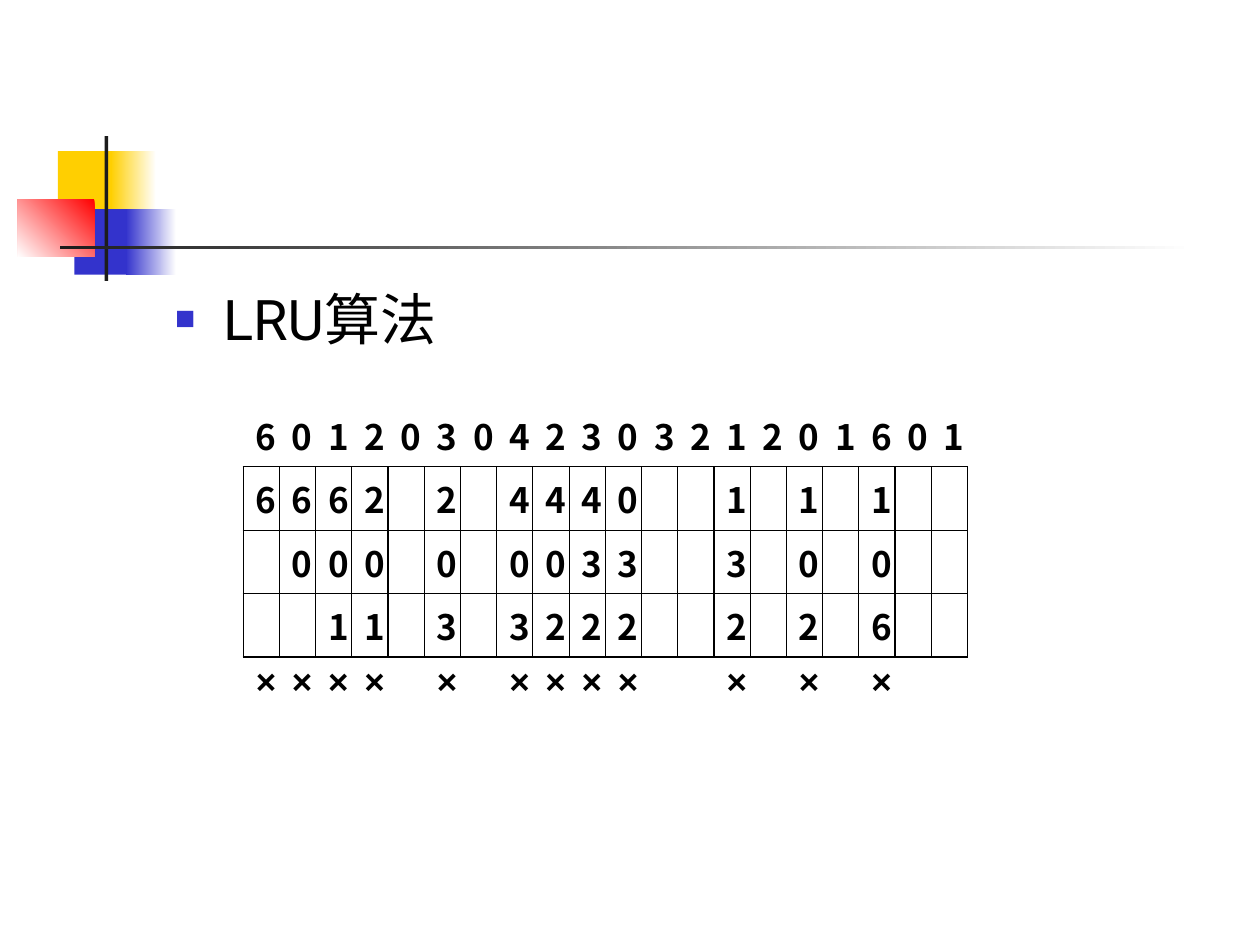
import pptx
import pptx.dml.color
import pptx.enum.shapes
import pptx.util
from lxml import etree
from pptx.oxml.ns import qn

RGBColor = pptx.dml.color.RGBColor
Inches = pptx.util.Inches
Pt = pptx.util.Pt

BLACK = RGBColor(0x00, 0x00, 0x00)
WHITE = RGBColor(0xFF, 0xFF, 0xFF)
YELLOW = RGBColor(0xFF, 0xCF, 0x01)
BLUE = RGBColor(0x33, 0x33, 0xCC)
RED = RGBColor(0xFF, 0x00, 0x00)
CHARCOAL = RGBColor(0x1C, 0x1C, 0x1C)

# Left, top, width, height in inches; colours; gradient angle
ORNAMENTS = [
    ((0.46, 1.2, 0.48, 0.52), [YELLOW], None),
    ((0.88, 1.2, 0.36, 0.52), [WHITE, YELLOW], 180),
    ((0.59, 1.66, 0.46, 0.52), [BLUE], None),
    ((1, 1.66, 0.4, 0.52), [WHITE, BLUE], 180),
    ((0.14, 1.58, 0.61, 0.46), [RED, WHITE], 225),
    ((0.83, 1.08, 0.03, 1.15), [CHARCOAL], None),
    ((0.48, 1.95, 9, 0.03), [WHITE, CHARCOAL], 180),
]

# Page references, three page frames, page faults; one character per column
PAGE_ROWS = [
    "60120304230321201601",
    "6662 2 4440  1 1 1  ",
    " 000 0 0033  3 0 0  ",
    "  11 3 3222  2 2 6  ",
    "×××× × ××××  × × ×  ",
]
FRAME_ROWS = range(1, 4)
COLUMN_WIDTH = 0.2875
ROW_HEIGHT = 0.47
NO_STYLE = "{2D5ABB26-0587-4C30-8999-92F81FD0307C}"


def add_ornament(slide, box, colours, angle):
    shape = slide.shapes.add_shape(
        pptx.enum.shapes.MSO_SHAPE.RECTANGLE, *map(Inches, box))
    shape.shadow.inherit = False
    shape.line.fill.background()
    if angle is None:
        shape.fill.solid()
        shape.fill.fore_color.rgb = colours[0]
        return
    shape.fill.gradient()
    shape.fill.gradient_angle = angle
    for stop, colour in zip(shape.fill.gradient_stops, colours):
        stop.color.rgb = colour


def format_heading(placeholder):
    placeholder.left, placeholder.top = Inches(1.29), Inches(2.21)
    placeholder.width, placeholder.height = Inches(8.5), Inches(4.5)
    placeholder.text_frame.text = "LRU算法"
    paragraph = placeholder.text_frame.paragraphs[0]
    paragraph.space_before = Pt(0)

    # Square bullet with a hanging indent
    properties = paragraph._p.get_or_add_pPr()
    properties.set("marL", str(Inches(0.38)))
    properties.set("indent", str(-Inches(0.38)))
    colour = etree.SubElement(properties, qn("a:buClr"))
    etree.SubElement(colour, qn("a:srgbClr"), val=str(BLUE))
    etree.SubElement(properties, qn("a:buSzPct"), val="60000")
    etree.SubElement(properties, qn("a:buFont"), typeface="Arial")
    etree.SubElement(properties, qn("a:buChar"), char="■")

    paragraph.font.name = "Roboto"
    paragraph.font.size = Pt(32)
    paragraph.font.color.rgb = BLACK


def set_borders(cell, visible_sides):
    properties = cell._tc.get_or_add_tcPr()
    for position, side in enumerate("LRTB"):
        line = etree.Element(qn(f"a:ln{side}"), w=str(Pt(0.75)))
        if side in visible_sides:
            fill = etree.SubElement(line, qn("a:solidFill"))
            etree.SubElement(fill, qn("a:srgbClr"), val=str(BLACK))
        else:
            etree.SubElement(line, qn("a:noFill"))
        properties.insert(position, line)


def format_cell(cell, text, font_name, visible_sides):
    cell.text = text
    cell.margin_left = cell.margin_right = Inches(0.1)
    cell.margin_top = cell.margin_bottom = Inches(0.05)
    cell.fill.background()
    set_borders(cell, visible_sides)
    font = cell.text_frame.paragraphs[0].font
    font.name = font_name
    font.size = Pt(20)
    font.bold = True
    font.color.rgb = BLACK


def add_page_table(slide):
    row_count, column_count = len(PAGE_ROWS), len(PAGE_ROWS[0])
    frame = slide.shapes.add_table(
        row_count, column_count, Inches(1.93), Inches(3.2),
        Inches(COLUMN_WIDTH * column_count), Inches(ROW_HEIGHT * row_count))
    table = frame.table
    table.first_row = table.horz_banding = False
    table._tbl.tblPr.find(qn("a:tableStyleId")).text = NO_STYLE
    for column in table.columns:
        column.width = Inches(COLUMN_WIDTH)
    for row_index, values in enumerate(PAGE_ROWS):
        table.rows[row_index].height = Inches(ROW_HEIGHT)
        # Only the page frames have a full grid
        if row_index in FRAME_ROWS:
            sides = "LRTB"
        else:
            sides = "B" if row_index == 0 else "T"
        is_fault_row = row_index == row_count - 1
        font_name = "Arial" if is_fault_row else "Noto Sans CJK SC"
        for column_index, value in enumerate(values):
            format_cell(table.cell(row_index, column_index),
                        value.strip(), font_name, sides)


def main():
    presentation = pptx.Presentation()
    presentation.slide_width = Inches(10)
    presentation.slide_height = Inches(7.5)
    slide = presentation.slides.add_slide(presentation.slide_layouts[1])

    # The slide has body text but no title
    title = slide.shapes.title
    title._element.getparent().remove(title._element)

    for box, colours, angle in ORNAMENTS:
        add_ornament(slide, box, colours, angle)
    format_heading(slide.placeholders[1])
    add_page_table(slide)
    presentation.save("out.pptx")


if __name__ == "__main__":
    main()
